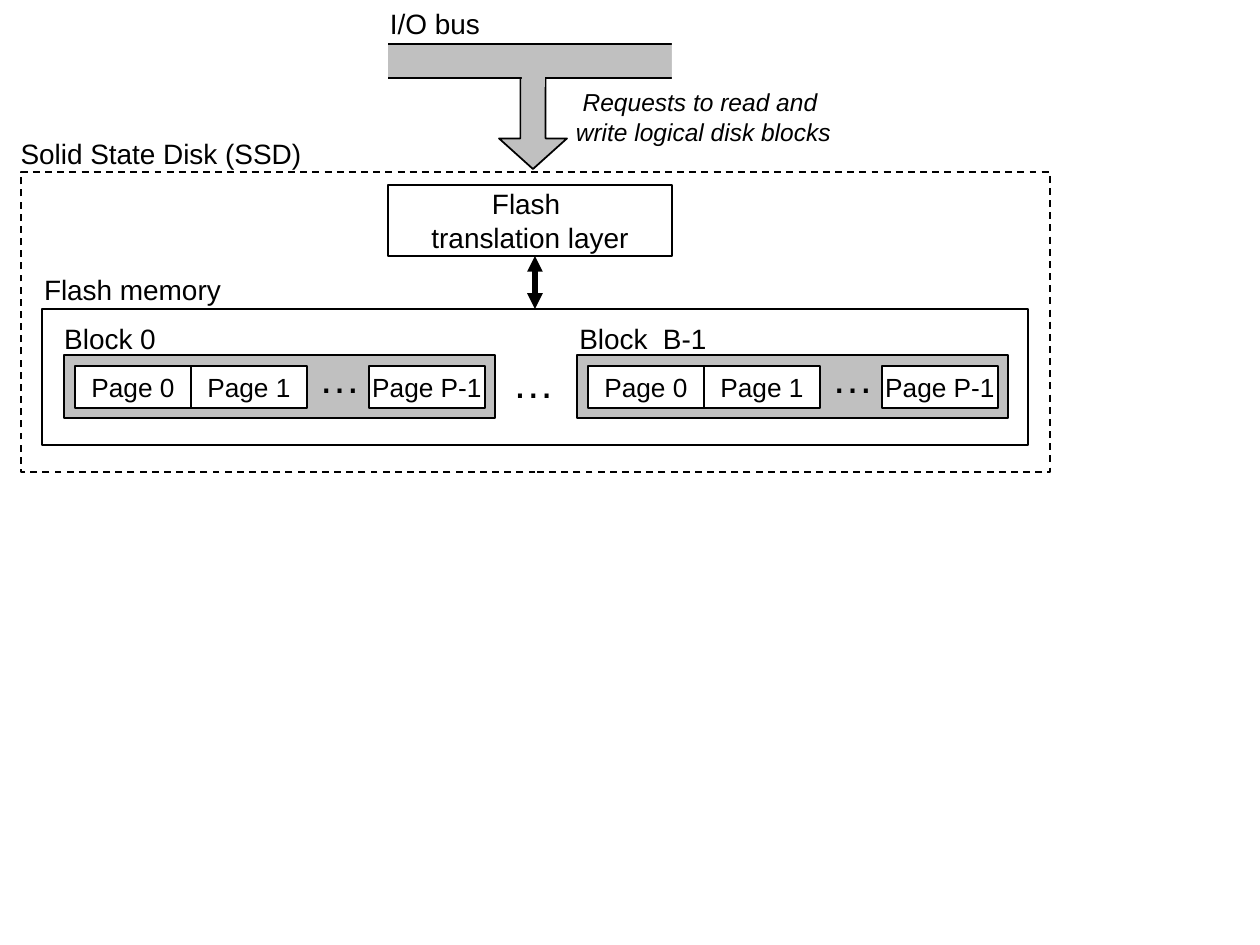
import dataclasses
import typing

import lxml.etree
import pptx
import pptx.dml.color
import pptx.enum.dml
import pptx.enum.shapes
import pptx.enum.text
import pptx.oxml.ns
import pptx.util

SCALE = 914400 / 126  # EMU per px
RGB = pptx.dml.color.RGBColor
KIND = pptx.enum.shapes.MSO_SHAPE
MID = pptx.enum.text.MSO_ANCHOR.MIDDLE
TOP = pptx.enum.text.MSO_ANCHOR.TOP


@dataclasses.dataclass(frozen=True)
class Theme:
    font: str = "Arial"
    ink: RGB = RGB(0, 0, 0)
    gray: RGB = RGB(0xC0, 0xC0, 0xC0)
    white: RGB = RGB(255, 255, 255)
    label: int = 16
    page: int = 15
    note: int = 14
    dots: int = 24
    thin: int = 1
    thick: int = 3


class Box(typing.NamedTuple):
    left: int
    top: int
    width: int
    height: int


@dataclasses.dataclass(frozen=True)
class Block:
    name: str
    left: int
    mid: int  # centre of the name
    wide: int  # width of the name's box


THEME = Theme()
BLOCKS = [Block("Block 0", 64, 110, 120), Block("Block  B-1", 577, 643, 164)]
PAGES = [("Page 0", 11), ("Page 1", 127), ("Page P-1", 305)]


def emu(px: int) -> int:
    return round(px * SCALE)


def write(shape, text: str, size: int, anchor=MID, wrap: bool = False,
          slant: bool = False) -> None:
    frame = shape.text_frame
    frame.text = text
    frame.word_wrap = wrap
    frame.vertical_anchor = anchor
    for para in frame.paragraphs:
        para.alignment = pptx.enum.text.PP_ALIGN.CENTER
        font = para.font
        font.name = THEME.font
        font.size = pptx.util.Pt(size)
        font.color.rgb = THEME.ink
        font.italic = slant


def draw(shapes, box: Box, fill: RGB | None = None, line: bool = True,
         kind=KIND.RECTANGLE):
    shape = shapes.add_shape(kind, *map(emu, box))
    shape.shadow.inherit = False
    if fill is None:
        shape.fill.background()
    else:
        shape.fill.solid()
        shape.fill.fore_color.rgb = fill
    if line:
        shape.line.color.rgb = THEME.ink
        shape.line.width = pptx.util.Pt(THEME.thin)
    else:
        shape.line.fill.background()
    return shape


def label(shapes, box: Box, text: str, size: int = THEME.label,
          wrap: bool = False, slant: bool = False) -> None:
    shape = shapes.add_textbox(*map(emu, box))
    write(shape, text, size, TOP, wrap, slant)
    shape.text_frame.auto_size = pptx.enum.text.MSO_AUTO_SIZE.SHAPE_TO_FIT_TEXT


def block(shapes, item: Block) -> None:
    group = shapes.add_group_shape().shapes
    left = item.left
    draw(group, Box(left, 355, 431, 63), THEME.gray)
    for name, shift in PAGES:
        page = draw(group, Box(left + shift, 366, 116, 42), THEME.white)
        write(page, name, THEME.page)
    label(group, Box(left + 242, 345, 67, 63), "…", THEME.dots)
    label(group, Box(item.mid - item.wide // 2, 315, item.wide, 47), item.name)


def link(shapes, x: int, top: int, low: int):
    line = shapes.add_connector(pptx.enum.shapes.MSO_CONNECTOR.STRAIGHT,
                                emu(x), emu(top), emu(x), emu(low))
    line.line.color.rgb = THEME.ink
    line.line.width = pptx.util.Pt(THEME.thick)
    stroke = line.line._get_or_add_ln()
    for tag in ("a:headEnd", "a:tailEnd"):
        end = lxml.etree.SubElement(stroke, pptx.oxml.ns.qn(tag))
        end.set("type", "triangle")
    props = line._element.spPr
    lxml.etree.SubElement(props, pptx.oxml.ns.qn("a:effectLst"))
    return line


def main() -> None:
    deck = pptx.Presentation()
    deck.slide_width, deck.slide_height = emu(1260), emu(945)
    shapes = deck.slides.add_slide(deck.slide_layouts[6]).shapes

    # Request arrow and translation layer
    arrow = draw(shapes, Box(499, 74, 68, 95), THEME.gray, kind=KIND.DOWN_ARROW)
    arrow.adjustments[0] = 0.37
    arrow.adjustments[1] = 0.45
    layer = draw(shapes, Box(388, 185, 284, 71))
    write(layer, "Flash \ntranslation layer", THEME.label)
    wire = link(shapes, 535, 256, 309)

    # Bus, joined to the arrow, with open ends
    draw(shapes, Box(378, 44, 305, 34), THEME.gray)
    draw(shapes, Box(522, 65, 23, 22), THEME.gray, line=False)
    label(shapes, Box(377, 0, 116, 47), "I/O bus")
    draw(shapes, Box(672, 15, 63, 73), THEME.white, line=False)
    draw(shapes, Box(325, 21, 63, 63), THEME.white, line=False)

    # Flash blocks
    for item in BLOCKS:
        block(shapes, item)
    label(shapes, Box(500, 350, 67, 63), "…", THEME.dots)

    # Memory and disk outlines
    store = draw(shapes, Box(42, 309, 986, 136))
    wire.end_connect(store, 0)
    label(shapes, Box(31, 266, 203, 47), "Flash memory")
    disk = draw(shapes, Box(21, 172, 1029, 300))
    disk.line.dash_style = pptx.enum.dml.MSO_LINE.DASH
    label(shapes, Box(8, 130, 306, 47), "Solid State Disk (SSD)")

    # Request note
    label(shapes, Box(557, 81, 293, 72),
          "Requests to read and \nwrite logical disk blocks",
          THEME.note, wrap=True, slant=True)

    deck.save("out.pptx")


if __name__ == "__main__":
    main()
